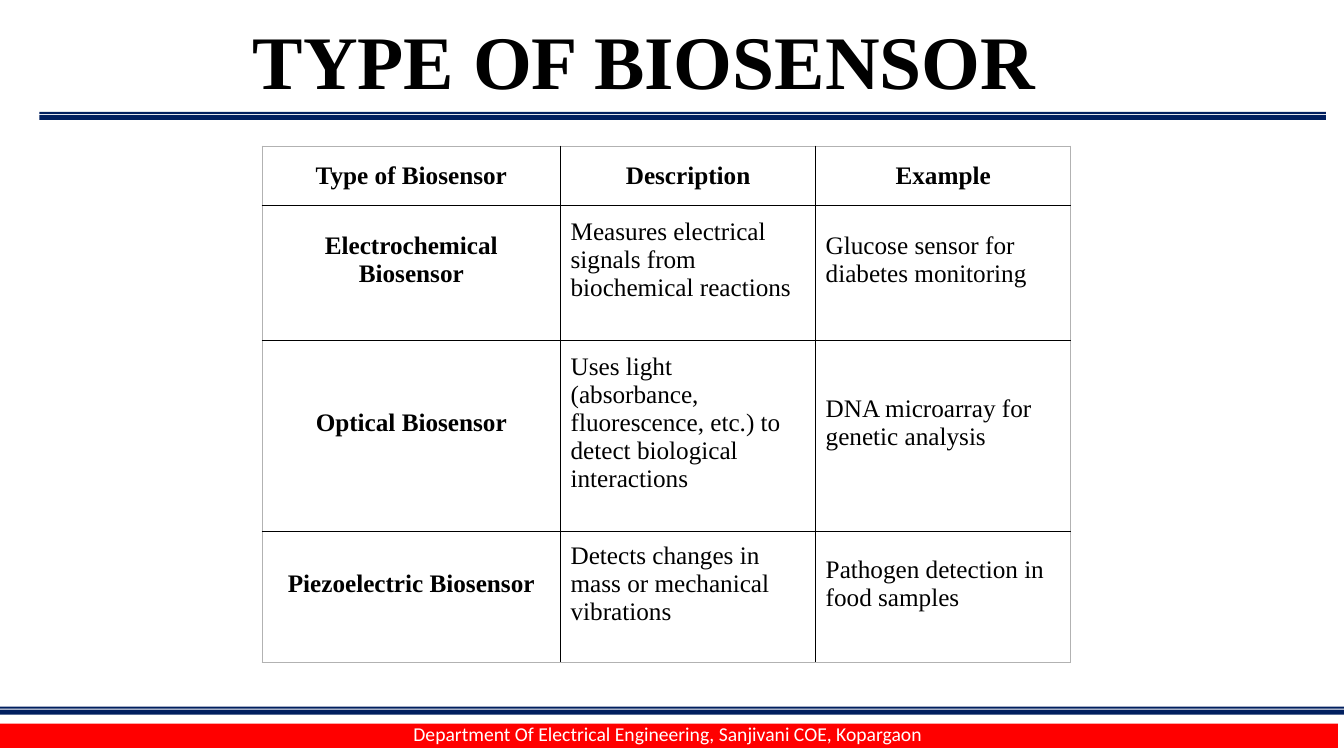
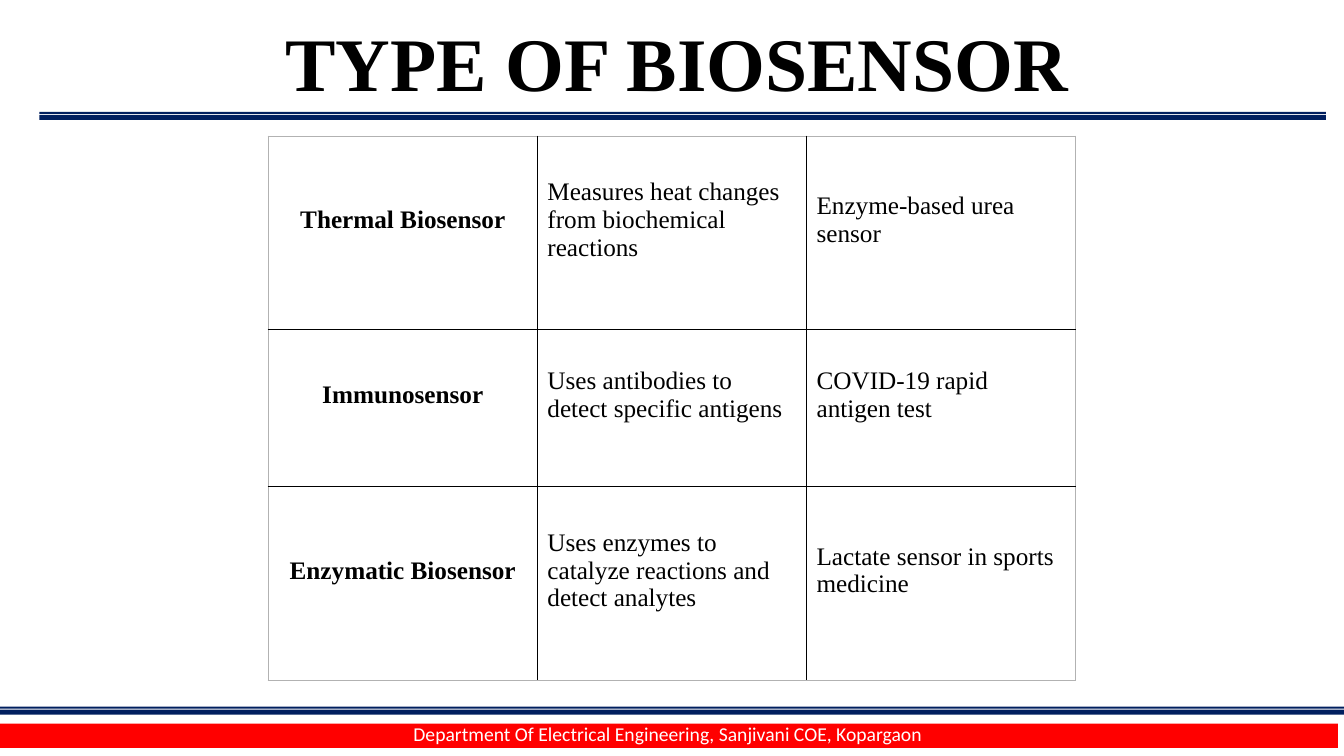
import lxml.etree
import pptx
import pptx.dml.color
import pptx.enum.shapes
import pptx.enum.text
import pptx.oxml.ns
import pptx.util

Inches = pptx.util.Inches
Pt = pptx.util.Pt
Align = pptx.enum.text.PP_ALIGN
Anchor = pptx.enum.text.MSO_ANCHOR
qn = pptx.oxml.ns.qn
rgb = pptx.dml.color.RGBColor.from_string

NAVY, RED, WHITE, BLACK, GRAY = "001F5F", "FF0000", "FFFFFF", "000000", "B2B2B2"
SERIF, SANS = "Times New Roman", "Calibri"
TITLE = "TYPE OF BIOSENSOR"
FOOTER = "Department Of Electrical Engineering, Sanjivani COE, Kopargaon"

# left, top, width, height, colour
BANDS = [
    (0, 7.18, 13.27, 0.24, RED),
    (0.39, 1.11, 12.76, 0.02, NAVY),
    (0.39, 1.14, 12.76, 0.05, NAVY),
    (0, 7.01, 13.33, 0.02, NAVY),
    (0, 7.04, 13.33, 0.05, NAVY),
]

PAGES = [
    {
        "title": (1.2, 0.14, 10.38, 0.83), "align": Align.CENTER, "inset": 0,
        "spot": (2.6, 1.45), "head": True,
        "cols": [2.96, 2.53, 2.53], "rows": [0.59, 1.34, 1.89, 1.3],
        "cells": [
            ["Type of Biosensor", "Description", "Example"],
            ["Electrochemical Biosensor",
             "Measures electrical signals from biochemical reactions",
             "Glucose sensor for diabetes monitoring"],
            ["Optical Biosensor",
             "Uses light (absorbance, fluorescence, etc.) to detect biological interactions",
             "DNA microarray for genetic analysis"],
            ["Piezoelectric Biosensor",
             "Detects changes in mass or mechanical vibrations",
             "Pathogen detection in food samples"],
        ],
    },
    {
        "title": (2.73, 0.11, 9.1, 1.01), "align": Align.LEFT, "inset": 0.05,
        "spot": (2.66, 1.35), "head": False,
        "cols": [2.67, 2.67, 2.67], "rows": [1.92, 1.56, 1.92],
        "cells": [
            ["Thermal Biosensor",
             "Measures heat changes from biochemical reactions",
             "Enzyme-based urea sensor"],
            ["Immunosensor",
             "Uses antibodies to detect specific antigens",
             "COVID-19 rapid antigen test"],
            ["Enzymatic Biosensor",
             "Uses enzymes to catalyze reactions and detect analytes",
             "Lactate sensor in sports medicine"],
        ],
    },
]


def write(frame, text, size=18, font=SERIF, color=BLACK, bold=False,
          align=Align.LEFT, anchor=Anchor.TOP, pitch=None):
    frame.word_wrap = True
    frame.vertical_anchor = anchor
    par = frame.paragraphs[0]
    par.alignment = align
    if pitch:
        par.line_spacing = Pt(pitch)
    run = par.add_run()
    run.text = text
    run.font.size = Pt(size)
    run.font.name = font
    run.font.bold = bold
    run.font.color.rgb = rgb(color)


def edge(cell, colors):
    """Draw the left, right, top and bottom borders of a cell."""
    props = cell._tc.get_or_add_tcPr()
    for place, (side, color) in enumerate(zip("LRTB", colors)):
        line = lxml.etree.Element(qn("a:ln" + side), w=str(Pt(0.75)))
        fill = lxml.etree.SubElement(line, qn("a:solidFill"))
        lxml.etree.SubElement(fill, qn("a:srgbClr"), val=color)
        props.insert(place, line)


deck = pptx.Presentation()
deck.slide_width = Inches(13.33)
deck.slide_height = Inches(7.5)
layout = deck.slide_layouts[5]
slides = [deck.slides.add_slide(layout) for page in PAGES]

# Shared bands: drawn once, then moved to the layout
for *box, color in BANDS:
    band = slides[0].shapes.add_shape(
        pptx.enum.shapes.MSO_SHAPE.RECTANGLE, *map(Inches, box))
    band.shadow.inherit = False
    band.fill.solid()
    band.fill.fore_color.rgb = rgb(color)
    band.line.fill.background()
    layout.shapes.element.append(band.element)

for slide, page in zip(slides, PAGES):
    title = slide.shapes.title
    title.left, title.top, title.width, title.height = map(Inches, page["title"])
    frame = title.text_frame
    frame.auto_size = pptx.enum.text.MSO_AUTO_SIZE.NONE
    frame.margin_left = frame.margin_right = Inches(2 * page["inset"])
    frame.margin_top = frame.margin_bottom = Inches(page["inset"])
    write(frame, TITLE, size=54, bold=True, align=page["align"])

    rows, cols = page["rows"], page["cols"]
    grid = slide.shapes.add_table(
        len(rows), len(cols), *map(Inches, page["spot"]),
        Inches(sum(cols)), Inches(sum(rows))).table
    grid.first_row = page["head"]
    grid.horz_banding = False
    for col, width in zip(grid.columns, cols):
        col.width = Inches(width)
    for row, height in zip(grid.rows, rows):
        row.height = Inches(height)

    for r, texts in enumerate(page["cells"]):
        head = page["head"] and r == 0
        for c, text in enumerate(texts):
            cell = grid.cell(r, c)
            label = head or c == 0
            cell.fill.background()
            cell.margin_bottom = Inches(0.05 if head else 0.31)
            write(cell.text_frame, text, bold=label,
                  align=Align.CENTER if label else Align.LEFT)
            cell.vertical_anchor = Anchor.MIDDLE
            outer = (c == 0, c == len(cols) - 1, r == 0, r == len(rows) - 1)
            edge(cell, [GRAY if out else BLACK for out in outer])

    foot = slide.shapes.add_textbox(*map(Inches, (2, 7.17, 9.25, 0.28)))
    write(foot.text_frame, FOOTER, size=14, font=SANS, color=WHITE,
          align=Align.CENTER, pitch=12.4)

deck.save("out.pptx")
